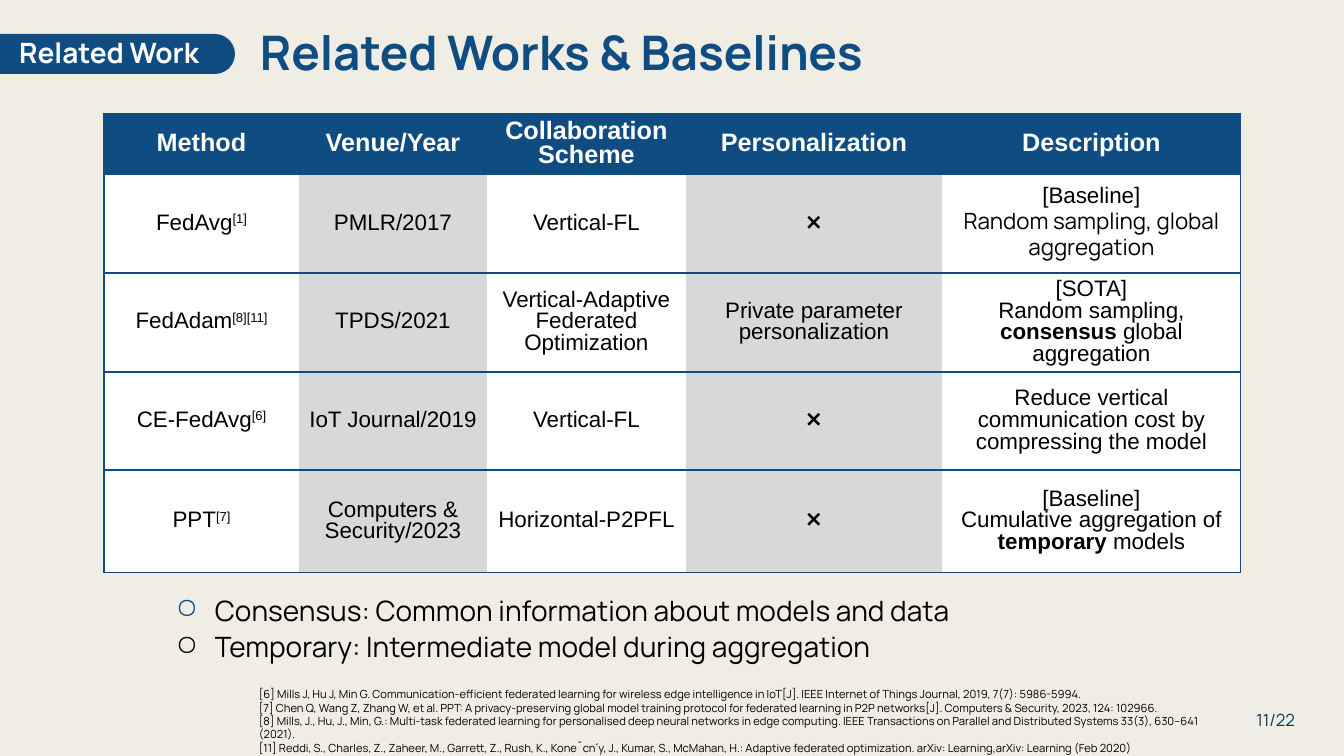
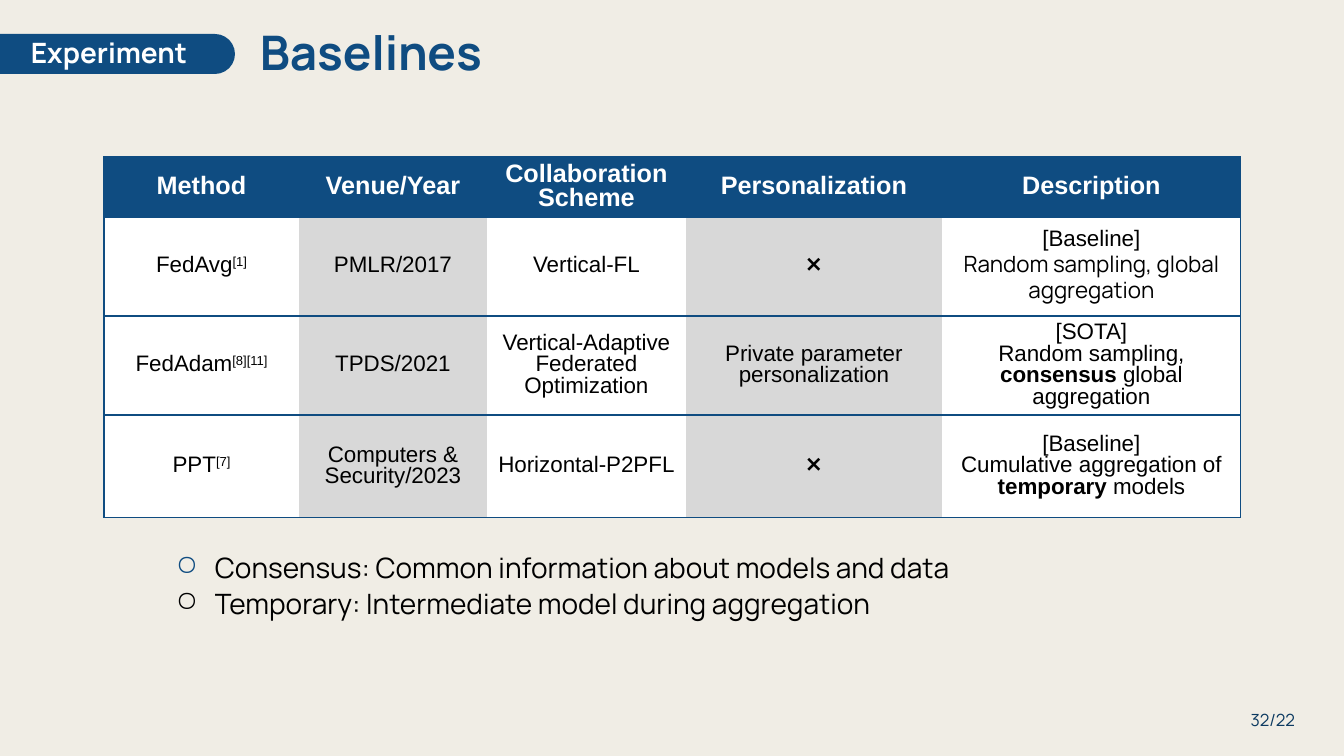
"""Build two slides comparing federated learning baselines."""
from lxml import etree
from pptx import Presentation, util as u
from pptx.dml.color import RGBColor
from pptx.enum import shapes, text
from pptx.oxml import ns

SCALE = 914400 / 100.8
NAVY, DEEP, CREAM, WHITE, GREY, BLACK = "0F4C81", "0B3960", "F0EDE5", "FFFFFF", "D8D8D8", "000000"
NO_GRID = "{2D5ABB26-0587-4C30-8999-92F81FD0307C}"
LEFT, CENTER, RIGHT = text.PP_ALIGN.LEFT, text.PP_ALIGN.CENTER, text.PP_ALIGN.RIGHT
MIDDLE, TOP = text.MSO_ANCHOR.MIDDLE, text.MSO_ANCHOR.TOP


def px(*lengths):
    return [u.Emu(round(length * SCALE)) for length in lengths]


def write(frame, lines, size, color, align=LEFT, spacing=None, bold=None, font="Manrope", bullets=()):
    frame.word_wrap = True
    for index, line in enumerate(lines):
        paragraph = frame.paragraphs[0] if index == 0 else frame.add_paragraph()
        if bullets:
            paragraph.level = 1
            properties = paragraph._p.get_or_add_pPr()
            margin, indent = px(101, -39)
            properties.set("marL", str(margin))
            properties.set("indent", str(indent))
            bullet_color = etree.SubElement(properties, ns.qn("a:buClr"))
            etree.SubElement(bullet_color, ns.qn("a:srgbClr"), val=bullets[index])
            etree.SubElement(properties, ns.qn("a:buChar"), char="○")
            if index:
                paragraph.space_before = paragraph.space_after = u.Pt(2)
        paragraph.alignment = align
        paragraph.line_spacing = spacing
        paragraph.font.name = "Manrope" if line.startswith("~") else font
        paragraph.font.size = u.Pt(size)
        paragraph.font.bold = bold
        paragraph.font.color.rgb = RGBColor.from_string(color)
        wording, _, citation = line.lstrip("~").partition("^")
        for part_index, part in enumerate(wording.split("*")):
            run = paragraph.add_run()
            run.text = part
            if part_index % 2:
                run.font.bold = True
        if citation:
            run = paragraph.add_run()
            run.text = citation
            run._r.get_or_add_rPr().set("baseline", "30000")


header = ["Method", "Venue/Year", "Collaboration\nScheme", "Personalization", "Description"]
fed_avg = ["FedAvg^[1]", "PMLR/2017", "Vertical-FL", "❌",
           "[Baseline]\n~Random sampling, global aggregation"]
fed_adam = ["FedAdam^[8][11]", "TPDS/2021", "Vertical-Adaptive Federated Optimization",
            "Private parameter personalization",
            "[SOTA]\nRandom sampling, *consensus* global aggregation"]
ce_fed_avg = ["CE-FedAvg^[6]", "IoT Journal/2019", "Vertical-FL", "❌",
              "Reduce vertical communication cost by compressing the model"]
ppt = ["PPT^[7]", "Computers & Security/2023", "Horizontal-P2PFL", "❌",
       "[Baseline]\nCumulative aggregation of *temporary* models"]
references = [
    "[6] Mills J, Hu J, Min G. Communication-efficient federated learning for wireless edge "
    "intelligence in IoT[J]. IEEE Internet of Things Journal, 2019, 7(7): 5986-5994.",
    "[7] Chen Q, Wang Z, Zhang W, et al. PPT: A privacy-preserving global model training protocol "
    "for federated learning in P2P networks[J]. Computers & Security, 2023, 124: 102966.",
    "[8] Mills, J., Hu, J., Min, G.: Multi-task federated learning for personalised deep neural "
    "networks in edge computing. IEEE Transactions on Parallel and Distributed Systems 33(3), "
    "630–641 (2021).",
    "[11] Reddi, S., Charles, Z., Zaheer, M., Garrett, Z., Rush, K., Koneˇcn ́y, J., Kumar, S., "
    "McMahan, H.: Adaptive federated optimization. arXiv: Learning,arXiv: Learning (Feb 2020)",
]
definitions = ["Consensus: Common information about models and data",
               "Temporary: Intermediate model during aggregation"]
column_widths = [195, 188, 199, 256, 299]
pages = [
    ("Related Work", "Related Works & Baselines", "11/22", 114,
     [header, fed_avg, fed_adam, ce_fed_avg, ppt], [60, 99, 99, 98, 103], 583, references),
    ("Experiment", "Baselines", "32/22", 157,
     [header, fed_avg, fed_adam, ppt], [60, 99, 99, 103], 540, []),
]

prs = Presentation()
prs.slide_width, prs.slide_height = px(1344, 756)
backdrop = prs.slide_master.background.fill
backdrop.solid()
backdrop.fore_color.rgb = RGBColor.from_string(CREAM)

for section, title, page_number, table_top, rows, row_heights, definitions_top, sources in pages:
    slide = prs.slides.add_slide(prs.slide_layouts[6])
    band = slide.shapes.add_shape(shapes.MSO_SHAPE.ROUNDED_RECTANGLE, *px(-27, 34, 262, 40))
    band.adjustments[0] = 0.5
    band.shadow.inherit = False
    band.fill.solid()
    band.fill.fore_color.rgb = RGBColor.from_string(NAVY)
    band.line.fill.background()

    text_blocks = [
        ((250, 17, 1055, 76), MIDDLE, [title], dict(size=34, color=NAVY, bold=True, spacing=0.9)),
        ((1213, 700, 92, 40), MIDDLE, [page_number], dict(size=12, color=DEEP, align=RIGHT)),
        ((0, 34, 218, 40), MIDDLE, [section],
         dict(size=20, color=WHITE, bold=True, align=CENTER, spacing=0.9)),
        ((104, definitions_top, 973, 91), TOP, definitions,
         dict(size=20, color=BLACK, bullets=(NAVY, BLACK))),
    ]
    if sources:
        text_blocks.append(((249, 703, 996, 36), MIDDLE, sources, dict(size=8, color=BLACK)))
    for place, anchor, lines, style in text_blocks:
        frame = slide.shapes.add_textbox(*px(*place)).text_frame
        frame.vertical_anchor = anchor
        if anchor == TOP:
            frame.margin_top = frame.margin_bottom = u.Inches(0.1)
        write(frame, lines, **style)

    comparison = slide.shapes.add_table(
        len(rows), len(header), *px(104, table_top, sum(column_widths), sum(row_heights))).table
    comparison.first_row = comparison.horz_banding = False
    comparison._tbl.tblPr[0].text = NO_GRID
    for column, width in zip(comparison.columns, px(*column_widths)):
        column.width = width
    for row, height in zip(comparison.rows, px(*row_heights)):
        row.height = height
    for r, entries in enumerate(rows):
        for c, entry in enumerate(entries):
            cell = comparison.cell(r, c)
            cell.margin_left = cell.margin_right = cell.margin_top = cell.margin_bottom = 0
            cell.vertical_anchor = MIDDLE
            outer_edges = {0: ["lnL"], len(header) - 1: ["lnR"]}.get(c, [])
            for edge in outer_edges + ["lnT", "lnB"]:
                border = etree.SubElement(cell._tc.get_or_add_tcPr(), ns.qn("a:" + edge), w="12700")
                border_fill = etree.SubElement(border, ns.qn("a:solidFill"))
                etree.SubElement(border_fill, ns.qn("a:srgbClr"), val=NAVY)
            cell.fill.solid()
            cell.fill.fore_color.rgb = RGBColor.from_string(NAVY if r == 0 else GREY if c % 2 else WHITE)
            write(cell.text_frame, entry.split("\n"), size=16 if r else 18,
                  color=BLACK if r else WHITE, align=CENTER, spacing=0.88,
                  bold=None if r else True, font="Arial")

prs.save("out.pptx")
